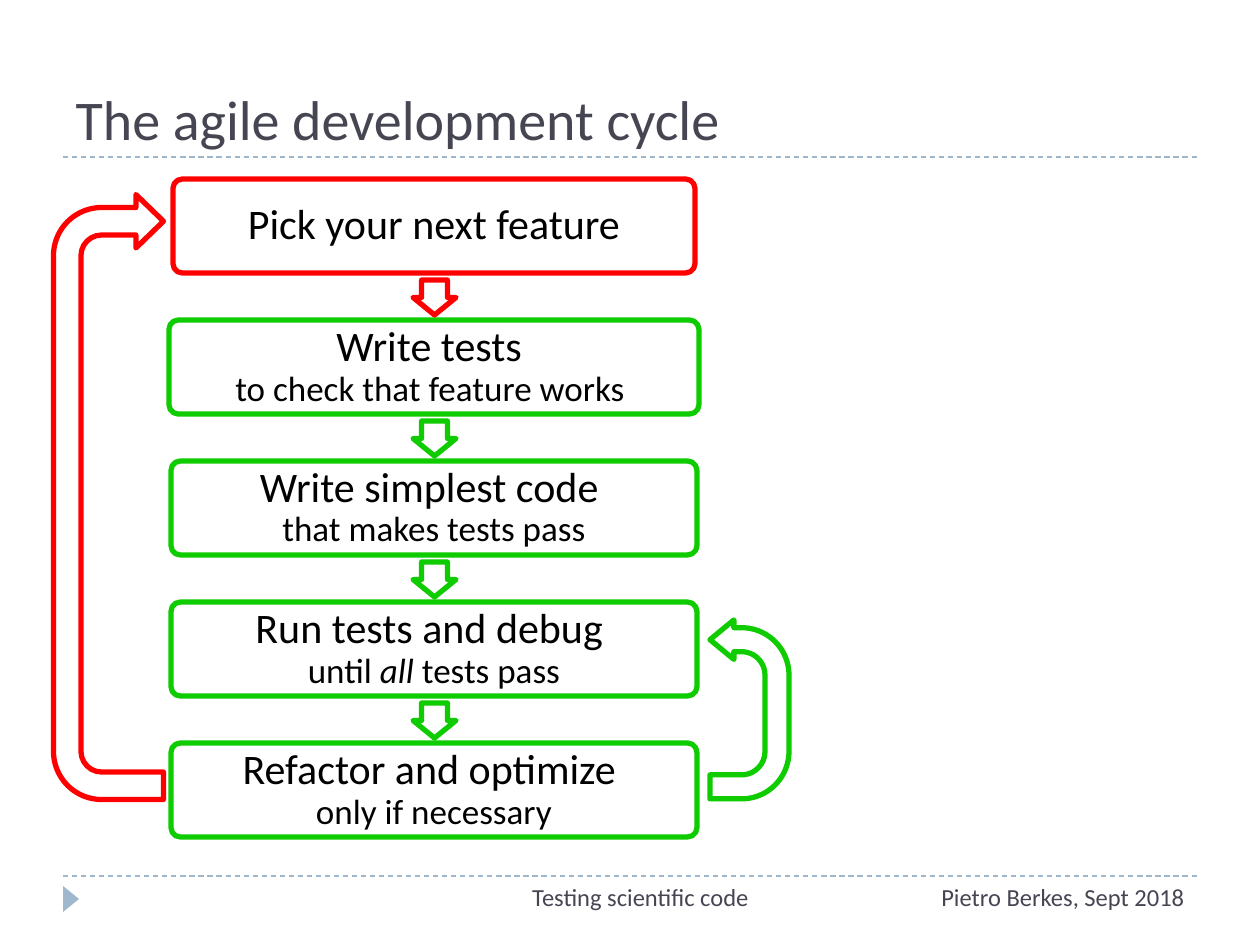
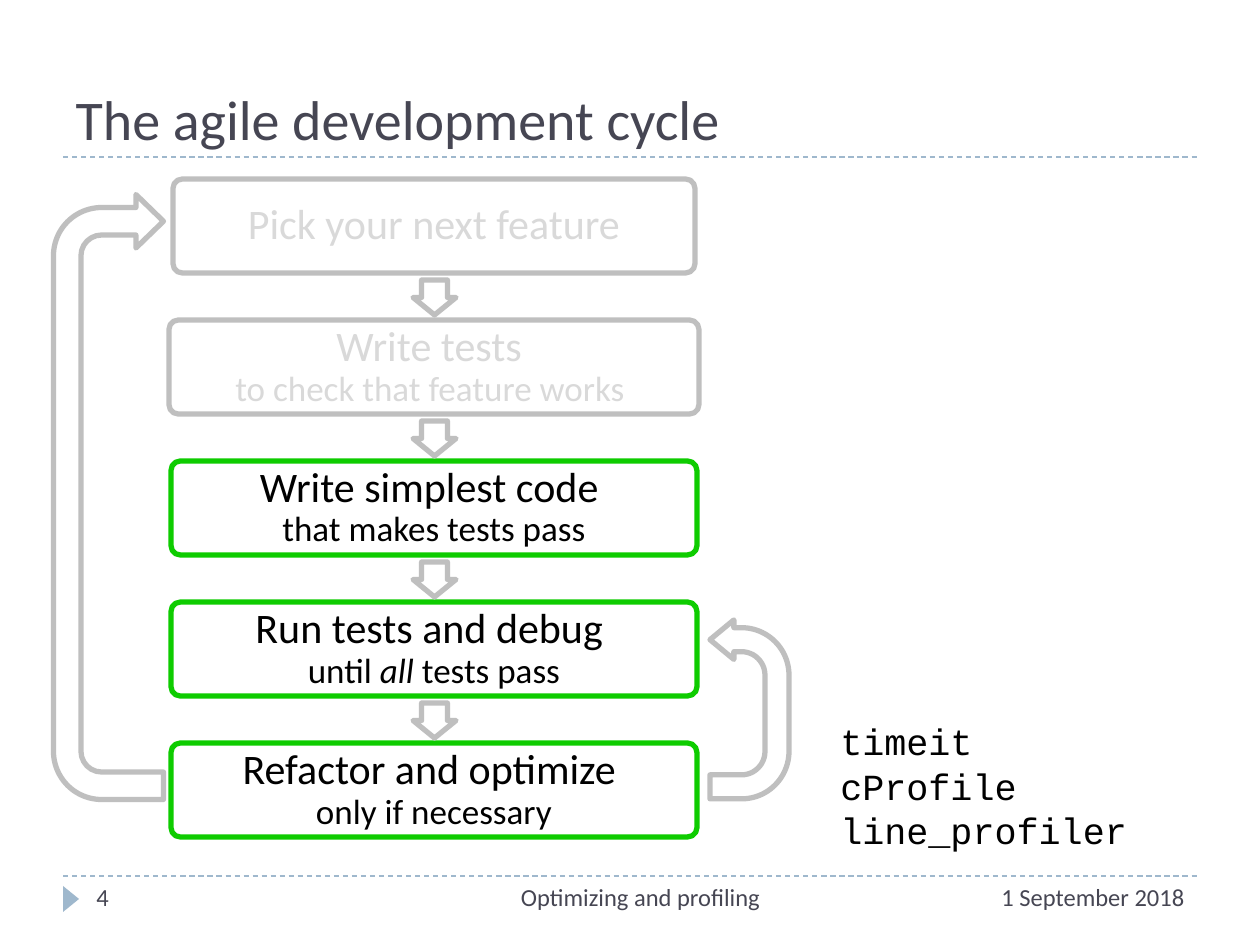
import pptx
import pptx.util
import pptx.dml.color
import pptx.enum.dml
import pptx.enum.shapes
import pptx.enum.text
import pptx.oxml.ns
import lxml.etree

RGB = pptx.dml.color.RGBColor
SHAPE = pptx.enum.shapes.MSO_SHAPE
ALIGN = pptx.enum.text.PP_ALIGN
ANCHOR = pptx.enum.text.MSO_ANCHOR

SLATE = RGB(0x46, 0x46, 0x53)
MIST = RGB(0x9F, 0xB8, 0xCD)
WHITE = RGB(0xFF, 0xFF, 0xFF)
BLACK = RGB(0, 0, 0)
RED = RGB(0xFF, 0, 0)
GREEN = RGB(0x0E, 0xCC, 0)
GREY = RGB(0xBF, 0xBF, 0xBF)
PALE = RGB(0xD9, 0xD9, 0xD9)

PX = 914400 / 126
BOX_CENTRE, BOX_TOP, BOX_HEIGHT, BOX_STEP = 434, 179, 94, 141

# Each step: box width, headline, runs of the second line (text, italic)
STEPS = [
    (522, "Pick your next feature", []),
    (530, "Write tests ", [("to check that feature works ", False)]),
    (526, "Write simplest code ", [("that makes tests pass", False)]),
    (526, "Run tests and debug ",
     [("until ", False), ("all", True), (" tests pass", False)]),
    (526, "Refactor and optimize ", [("only if necessary", False)]),
]

# What differs between the two slides
SLIDES = [
    dict(boxes=[RED] + [GREEN] * 4, words=[BLACK] * 5,
         arrows=[RED] + [GREEN] * 3, outer_loop=RED, inner_loop=GREEN,
         number="", topic="Testing scientific code",
         credit="Pietro Berkes, Sept 2018", tools=[]),
    dict(boxes=[GREY] * 2 + [GREEN] * 3, words=[PALE] * 2 + [BLACK] * 3,
         arrows=[GREY] * 4, outer_loop=GREY, inner_loop=GREY,
         number="4", topic="Optimizing and profiling",
         credit="1 September 2018",
         tools=["timeit", "cProfile", "line_profiler"]),
]


def px(*lengths):
    return [pptx.util.Emu(round(length * PX)) for length in lengths]


def add_outlined(slide, kind, frame, colour, adjustments):
    """White shape with a thick, round-cornered outline."""
    shape = slide.shapes.add_shape(kind, *px(*frame))
    shape.shadow.inherit = False
    shape.fill.solid()
    shape.fill.fore_color.rgb = WHITE
    shape.line.color.rgb = colour
    shape.line.width = pptx.util.Pt(3)
    lxml.etree.SubElement(shape.line._get_or_add_ln(), pptx.oxml.ns.qn("a:round"))
    for index, value in enumerate(adjustments):
        shape.adjustments[index] = value
    return shape


deck = pptx.Presentation()
deck.slide_width, deck.slide_height = px(1260, 945)

for content in SLIDES:
    slide = deck.slides.add_slide(deck.slide_layouts[5])

    # Dashed rules and corner marker
    for y in (876, 157):
        rule = slide.shapes.add_connector(
            pptx.enum.shapes.MSO_CONNECTOR.STRAIGHT, *px(63, y, 1197, y))
        rule.line.color.rgb = MIST
        rule.line.width = pptx.util.Pt(0.75)
        rule.line.dash_style = pptx.enum.dml.MSO_LINE.DASH
        lxml.etree.SubElement(rule._element.spPr, pptx.oxml.ns.qn("a:effectLst"))
    marker = slide.shapes.add_shape(SHAPE.ISOSCELES_TRIANGLE, *px(58, 891, 26, 16))
    marker.rotation = 90
    marker.shadow.inherit = False
    marker.fill.solid()
    marker.fill.fore_color.rgb = MIST
    marker.line.fill.background()

    # Title
    title = slide.shapes.title
    title.left, title.top, title.width, title.height = px(63, 32, 1134, 126)
    title.text_frame.vertical_anchor = ANCHOR.BOTTOM
    heading = title.text_frame.paragraphs[0]
    heading.alignment = ALIGN.LEFT
    run = heading.add_run()
    run.text = "The agile development cycle"
    run.font.name, run.font.size = "Calibri", pptx.util.Pt(32)
    run.font.color.rgb = SLATE

    # Steps of the cycle
    for index, (width, headline, detail) in enumerate(STEPS):
        top = BOX_TOP + index * BOX_STEP
        box = add_outlined(slide, SHAPE.ROUNDED_RECTANGLE,
                           (BOX_CENTRE - width // 2, top, width, BOX_HEIGHT),
                           content["boxes"][index], [0.1])
        frame = box.text_frame
        frame.word_wrap = True
        frame.vertical_anchor = ANCHOR.MIDDLE
        frame.margin_top = frame.margin_bottom = 0
        step = frame.paragraphs[0]
        step.alignment = ALIGN.CENTER
        step.line_spacing = 0.9
        for part, (words, italic) in enumerate([(headline, False)] + detail):
            if part == 1:
                step.add_line_break()
            run = step.add_run()
            run.text = words
            run.font.name = "Calibri"
            run.font.size = pptx.util.Pt(20 if part else 24)
            run.font.italic = italic
            run.font.color.rgb = content["words"][index]

    # Arrows between the steps
    for index, colour in enumerate(content["arrows"]):
        add_outlined(slide, SHAPE.DOWN_ARROW,
                     (BOX_CENTRE - 21, BOX_TOP + 101 + index * BOX_STEP, 43, 35),
                     colour, [0.6, 0.5])

    # Loops back to earlier steps
    outer = add_outlined(slide, SHAPE.U_TURN_ARROW, (-194, 442, 605, 110),
                         content["outer_loop"], [0.25, 0.243, 0.25, 0.438, 1])
    inner = add_outlined(slide, SHAPE.U_TURN_ARROW, (660, 670, 179, 79),
                         content["inner_loop"], [0.304, 0.25, 0.302, 0.601, 1])
    outer.rotation = inner.rotation = 270
    inner._element.spPr.xfrm.set("flipV", "1")

    # Profiling tools and footers
    for area, lines, align, font, size, colour in [
        ((828, 713, 377, 146), content["tools"], ALIGN.LEFT, "Courier New", 21, BLACK),
        ((882, 876, 315, 50), [content["credit"]], ALIGN.RIGHT, "Calibri", 14, SLATE),
        ((399, 876, 483, 50), [content["topic"]], ALIGN.CENTER, "Calibri", 14, SLATE),
        ((84, 876, 273, 50), [content["number"]], ALIGN.LEFT, "Calibri", 14, SLATE),
    ]:
        if not any(lines):
            continue
        frame = slide.shapes.add_textbox(*px(*area)).text_frame
        frame.word_wrap = True
        for index, line in enumerate(lines):
            paragraph = frame.add_paragraph() if index else frame.paragraphs[0]
            paragraph.alignment = align
            run = paragraph.add_run()
            run.text = line
            run.font.name, run.font.size = font, pptx.util.Pt(size)
            run.font.color.rgb = colour

deck.save("out.pptx")
